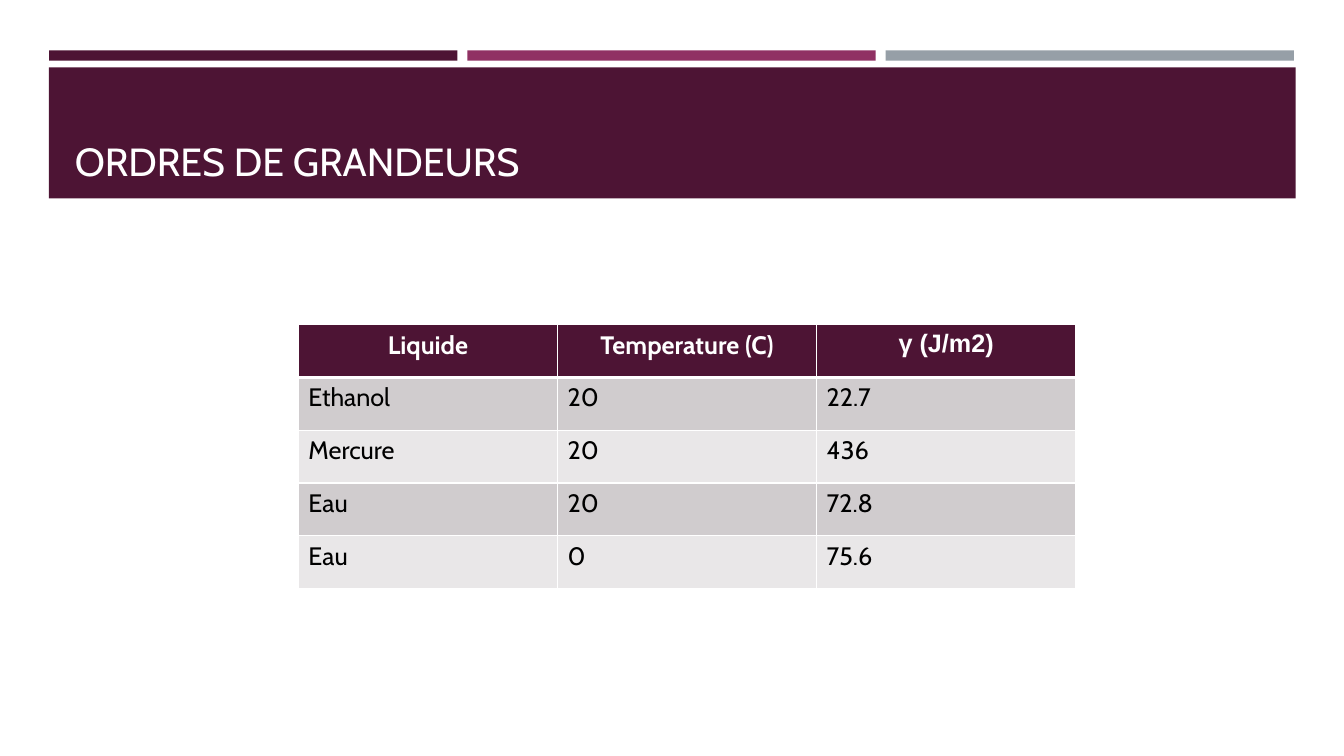
from dataclasses import dataclass

from lxml import etree
from pptx import Presentation
from pptx.dml.color import RGBColor
from pptx.enum.shapes import MSO_SHAPE
from pptx.enum.text import MSO_ANCHOR, MSO_AUTO_SIZE, PP_ALIGN
from pptx.oxml.ns import qn
from pptx.slide import Slide
from pptx.table import _Cell
from pptx.util import Cm, Pt

RECTANGLE = MSO_SHAPE.RECTANGLE
BOTTOM = MSO_ANCHOR.BOTTOM
NO_AUTOFIT = MSO_AUTO_SIZE.NONE
LEFT, CENTER = PP_ALIGN.LEFT, PP_ALIGN.CENTER
TITLE_ONLY_LAYOUT = 5


@dataclass(frozen=True)
class Theme:
    plum: str = "4D1434"
    magenta: str = "903163"
    slate: str = "969FA7"
    white: str = "FFFFFF"
    black: str = "000000"
    row_fills: tuple[str, str] = ("D0CCCE", "E9E7E8")
    font: str = "Cabin"
    symbol_font: str = "Arial"
    title_size: int = 28
    table_size: int = 18
    thin_rule: int = 1
    header_rule: int = 3


@dataclass(frozen=True)
class Band:
    """A filled rectangle, measured in centimetres."""
    left: float
    top: float
    width: float
    height: float
    color: str


@dataclass(frozen=True)
class CellStyle:
    fill: str
    text_color: str
    font: str
    bold: bool
    align: PP_ALIGN
    top_rule: int
    bottom_rule: int


THEME = Theme()
STRIPE_PITCH = 10.54
BANDS = [
    Band(1.24 + index * STRIPE_PITCH, 1.27, 10.29, 0.26, color)
    for index, color in enumerate((THEME.plum, THEME.magenta, THEME.slate))
] + [Band(1.23, 1.7, 31.42, 3.3, THEME.plum)]

TITLE = "ORDRES DE GRANDEURS"
HEADERS = ("Liquide", "Temperature (C)", "γ (J/m2)")
LIQUIDS = (
    ("Ethanol", "20", "22.7"),
    ("Mercure", "20", "436"),
    ("Eau", "20", "72.8"),
    ("Eau", "0", "75.6"),
)
COLUMN_WIDTH, ROW_HEIGHT = 6.53, 1.33


def add_band(slide: Slide, band: Band) -> None:
    rectangle = slide.shapes.add_shape(
        RECTANGLE, Cm(band.left), Cm(band.top), Cm(band.width), Cm(band.height))
    rectangle.shadow.inherit = False
    rectangle.fill.solid()
    rectangle.fill.fore_color.rgb = RGBColor.from_string(band.color)
    rectangle.line.fill.background()


def place_title(slide: Slide) -> None:
    """Format the title placeholder and bring it in front of the banner."""
    title = slide.shapes.title
    title.left, title.top = Cm(1.63), Cm(1.96)
    title.width, title.height = Cm(30.63), Cm(2.82)
    frame = title.text_frame
    frame.text = TITLE
    frame.word_wrap = True
    frame.auto_size = NO_AUTOFIT
    frame.vertical_anchor = BOTTOM
    paragraph = frame.paragraphs[0]
    paragraph.alignment = LEFT
    paragraph.font.name = THEME.font
    paragraph.font.size = Pt(THEME.title_size)
    paragraph.font.color.rgb = RGBColor.from_string(THEME.white)
    title.element.getparent().append(title.element)


def set_borders(cell: _Cell, top: int, bottom: int) -> None:
    properties = cell._tc.get_or_add_tcPr()
    edges = {"a:lnL": THEME.thin_rule, "a:lnR": THEME.thin_rule,
             "a:lnT": top, "a:lnB": bottom}
    for position, (tag, width) in enumerate(edges.items()):
        edge = etree.Element(qn(tag), w=str(Pt(width)))
        fill = etree.SubElement(edge, qn("a:solidFill"))
        etree.SubElement(fill, qn("a:srgbClr"), val=THEME.white)
        properties.insert(position, edge)


def fill_cell(cell: _Cell, text: str, style: CellStyle) -> None:
    cell.text = text
    cell.fill.solid()
    cell.fill.fore_color.rgb = RGBColor.from_string(style.fill)
    paragraph = cell.text_frame.paragraphs[0]
    paragraph.alignment = style.align
    paragraph.font.name = style.font
    paragraph.font.size = Pt(THEME.table_size)
    paragraph.font.bold = style.bold
    paragraph.font.color.rgb = RGBColor.from_string(style.text_color)
    set_borders(cell, style.top_rule, style.bottom_rule)


def cell_style(row: int, text: str) -> CellStyle:
    if row == 0:
        font = THEME.symbol_font if text.startswith("γ") else THEME.font
        return CellStyle(THEME.plum, THEME.white, font, True, CENTER,
                         THEME.thin_rule, THEME.header_rule)
    top_rule = THEME.header_rule if row == 1 else THEME.thin_rule
    return CellStyle(THEME.row_fills[(row - 1) % 2], THEME.black, THEME.font,
                     False, LEFT, top_rule, THEME.thin_rule)


def add_liquid_table(slide: Slide) -> None:
    rows = (HEADERS, *LIQUIDS)
    table = slide.shapes.add_table(
        len(rows), len(HEADERS), Cm(7.52), Cm(8.18),
        Cm(COLUMN_WIDTH * len(HEADERS)), Cm(ROW_HEIGHT * len(rows))).table
    for column in table.columns:
        column.width = Cm(COLUMN_WIDTH)
    for row, texts in enumerate(rows):
        table.rows[row].height = Cm(ROW_HEIGHT)
        for column, text in enumerate(texts):
            fill_cell(table.cell(row, column), text, cell_style(row, text))


def main() -> None:
    presentation = Presentation()
    presentation.slide_width, presentation.slide_height = Cm(33.87), Cm(19.05)
    slide = presentation.slides.add_slide(
        presentation.slide_layouts[TITLE_ONLY_LAYOUT])
    for band in BANDS:
        add_band(slide, band)
    place_title(slide)
    add_liquid_table(slide)
    presentation.save("out.pptx")


if __name__ == "__main__":
    main()
